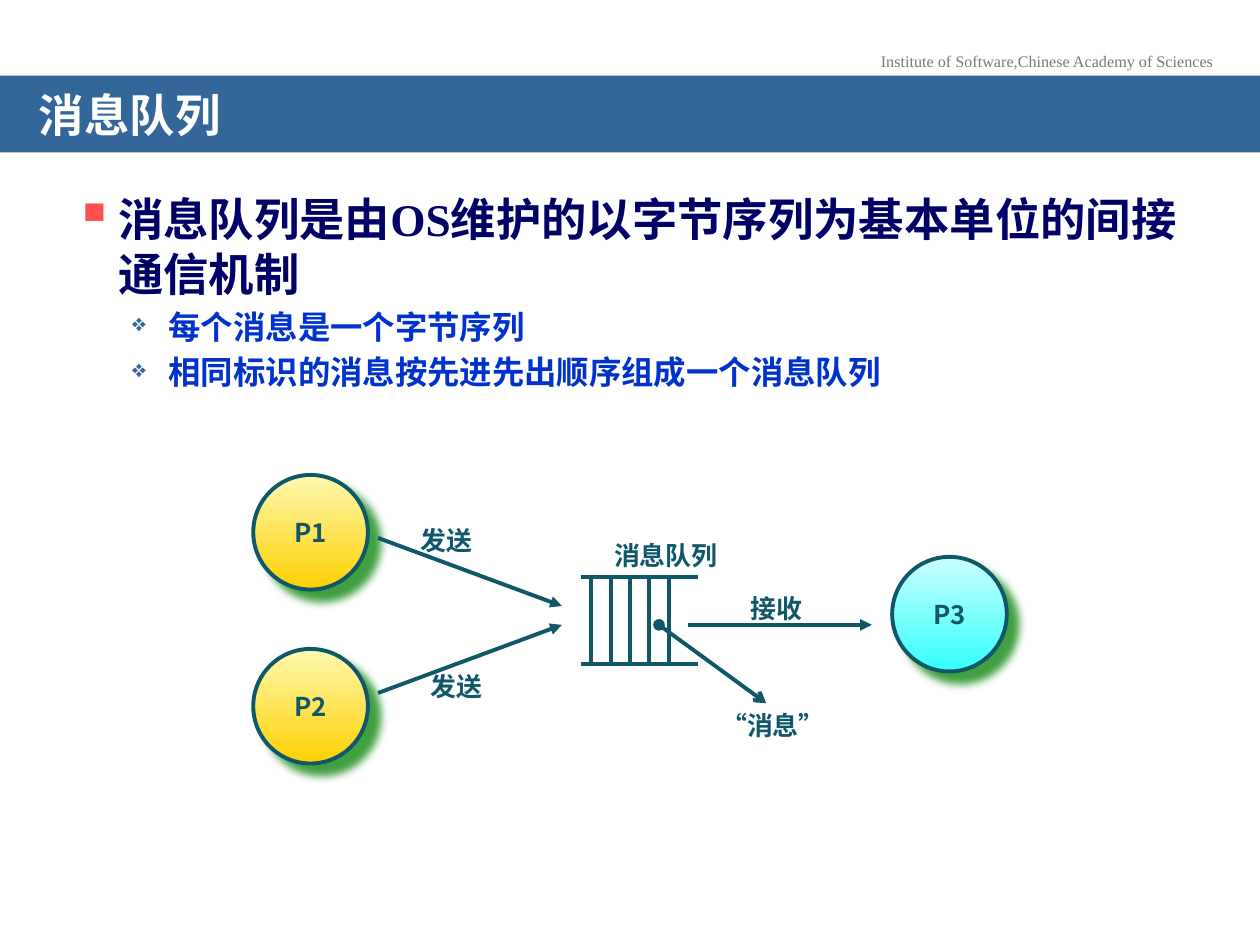
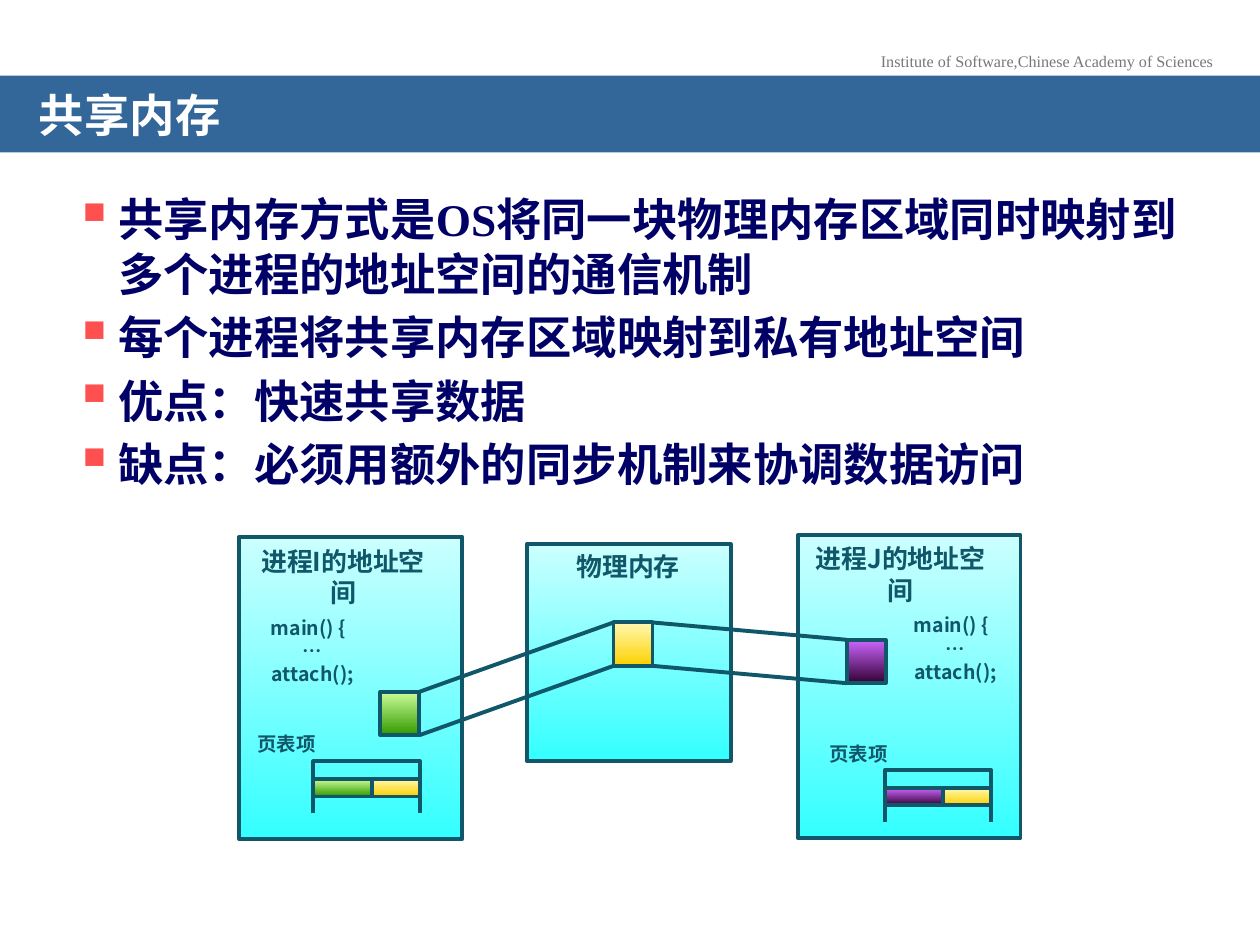
"""Builds two slides on inter-process communication: message queues and shared memory."""
import pptx
import pptx.dml.color
import pptx.enum.dml
import pptx.enum.shapes
import pptx.enum.text
import pptx.oxml
import pptx.oxml.ns
import pptx.util
from lxml import etree

Pt = pptx.util.Pt
qn = pptx.oxml.ns.qn
SHAPES = pptx.enum.shapes.MSO_SHAPE
ALIGN = pptx.enum.text.PP_ALIGN
MIDDLE = pptx.enum.text.MSO_ANCHOR.MIDDLE

SANS, SERIF = "Noto Sans CJK SC", "Times New Roman"
INK, BAND, WHITE, GREY = "11576A", "336699", "FFFFFF", "777777"
YELLOW, CYAN = ("FFF9B1", "FDD000"), ("CCFFFF", "33FFFF")
GREEN, PURPLE = ("CCFF99", "339900"), ("CC66FF", "330033")
LINE_WIDTH, LINE_PITCH = 2.25, 1.2
HEADER = "Institute of Software,Chinese Academy of Sciences"
BAND_MARGINS = {"margin_left": 22.3, "margin_right": 22.3, "margin_top": 11.5, "margin_bottom": 3.6}

LEVELS = [
    {"size": 25.9, "color": "000066", "left": 25.2, "hang": 25.2,
     "bullet": "▪", "bullet_color": "FF5050", "bullet_size": 120},
    {"size": 18.5, "color": "0033CC", "left": 54, "hang": 20.9,
     "bullet": "❖", "bullet_color": BAND, "bullet_size": 75},
]

QUEUE_TITLE = "消息队列"
QUEUE_POINTS = [
    (0, "消息队列是由OS维护的以字节序列为基本单位的间接通信机制"),
    (1, "每个消息是一个字节序列"),
    (1, "相同标识的消息按先进先出顺序组成一个消息队列"),
]
PROCESS_SIZE = 65.5
PROCESSES = [("P1", 144.7, 271.4, YELLOW), ("P2", 144.7, 370.8, YELLOW), ("P3", 509.8, 318.2, CYAN)]
QUEUE = {"left": 337.8, "top": 329.8, "bottom": 379.4, "step": 11.1, "bars": 5, "rail": 22, "overhang": 5.5}
ARROWS = [
    ((376.6, 357.1), (437.8, 401.8), "oval", "arrow"),
    ((216, 307.4), (321.1, 346.3), None, "triangle"),
    ((216, 396), (321.1, 357.1), None, "triangle"),
    ((393.1, 357.1), (498.2, 357.1), None, "triangle"),
]
QUEUE_LABELS = [
    ("“消息”", 404.6, 401.8, 74.2),
    ("消息队列", 343.4, 304.6, 74.2),
    ("发送", 232.6, 295.9, 44.6),
    ("发送", 238.3, 379.4, 44.6),
    ("接收", 421.2, 334.8, 44.6),
]

MEMORY_TITLE = "共享内存"
MEMORY_POINTS = [
    (0, "共享内存方式是OS将同一块物理内存区域同时映射到多个进程的地址空间的通信机制"),
    (0, "每个进程将共享内存区域映射到私有地址空间"),
    (0, "优点：快速共享数据"),
    (0, "缺点：必须用额外的同步机制来协调数据访问"),
]
CODE = ["main() {", "  …", "  attach();"]
PHYSICAL = (301, 311, 116.6, 123.8)
BLOCK_WIDTH, BLOCK_HEIGHT = 22.3, 24.8
SHARED_BLOCK = (350.6, 355.7)
SPACE_SIZE = (127.4, 172.8)
SPACES = [
    {"name": "进程I的地址空间", "space": (136.8, 306.7), "name_at": (135, 308.2), "block": (217.4, 395.3),
     "code_at": (142, 348.5), "table": (179.1, 435), "table_label": (139.7, 414.7), "colors": GREEN},
    {"name": "进程J的地址空间", "space": (455.8, 306), "name_at": (453.6, 306.7), "block": (483.8, 365.6),
     "code_at": (509.4, 347), "table": (505.6, 440.1), "table_label": (466.6, 420.5), "colors": PURPLE},
]
TABLE = {"width": 60.8, "height": 29.8, "entry_top": 10.1, "entry_height": 10.1, "split": 33.4}


def rgb(value):
    return pptx.dml.color.RGBColor.from_string(value)


def set_all(target, values):
    for name, value in values.items():
        setattr(target, name, value)


def add_xml(parent, tag, **attributes):
    return etree.SubElement(parent, qn(tag), attributes)


def add_span(para, text, size, color, latin=SANS, bold=True):
    span = para.add_run()
    span.text = text
    set_all(span.font, {"name": latin, "size": Pt(size), "bold": bold})
    span.font.color.rgb = rgb(color)
    add_xml(span._r.get_or_add_rPr(), "a:ea", typeface=SANS)


def write(shape, lines, size, color=INK, pitch=None, align=ALIGN.CENTER, wrap=False, **font):
    frame = shape.text_frame
    frame.word_wrap = wrap
    for index, line in enumerate(lines):
        para = frame.paragraphs[0] if index == 0 else frame.add_paragraph()
        set_all(para, {"alignment": align, "line_spacing": pitch or Pt(round(size * LINE_PITCH, 1))})
        add_span(para, line, size, color, **font)


def add_text(page, left, top, width, height, lines, size, **style):
    box = page.shapes.add_textbox(Pt(left), Pt(top), Pt(width), Pt(height))
    write(box, lines, size, **style)


def outline(shape):
    shape.line.color.rgb = rgb(INK)
    shape.line.width = Pt(LINE_WIDTH)


def add_filled(page, kind, left, top, width, height, colors):
    shape = page.shapes.add_shape(kind, Pt(left), Pt(top), Pt(width), Pt(height))
    shape.shadow.inherit = False
    shape.fill.gradient()
    shape.fill.gradient_angle = 270
    for stop, color in zip(shape.fill.gradient_stops, colors):
        stop.color.rgb = rgb(color)
    outline(shape)
    return shape


def add_line(page, start, end, head=None, tail=None):
    line = page.shapes.add_connector(
        pptx.enum.shapes.MSO_CONNECTOR.STRAIGHT, *(Pt(value) for value in (*start, *end)))
    outline(line)
    for tag, kind in (("a:headEnd", head), ("a:tailEnd", tail)):
        if kind:
            add_xml(line.line._get_or_add_ln(), tag, type=kind)
    add_xml(line._element.spPr, "a:effectLst")


def add_points(page, points):
    frame = page.shapes.add_textbox(Pt(35.3), Pt(105.8), Pt(648.7), Pt(385.2)).text_frame
    frame.word_wrap = True
    for index, (depth, text) in enumerate(points):
        level = LEVELS[depth]
        size = level["size"]
        para = frame.paragraphs[0] if index == 0 else frame.add_paragraph()
        properties = para._p.get_or_add_pPr()
        properties.set("marL", str(Pt(level["left"])))
        properties.set("indent", str(-Pt(level["hang"])))
        add_xml(add_xml(properties, "a:buClr"), "a:srgbClr", val=level["bullet_color"])
        add_xml(properties, "a:buSzPct", val=str(level["bullet_size"] * 1000))
        add_xml(properties, "a:buChar", char=level["bullet"])
        set_all(para, {"level": depth, "line_spacing": Pt(round(size * LINE_PITCH, 1)),
                       "space_before": Pt(round(size * 0.2, 1) if index else 0)})
        add_span(para, text, size, level["color"], latin=SERIF)


def add_page(deck, title, points):
    page = deck.slides.add_slide(deck.slide_layouts[6])
    add_text(page, 494.6, 25.9, 207.4, 18.7, [HEADER], 9.2, color=GREY, latin=SERIF, bold=False)
    add_points(page, points)
    band = page.shapes.add_shape(SHAPES.RECTANGLE, 0, Pt(43.2), deck.slide_width, Pt(43.9))
    band.shadow.inherit = False
    band.fill.solid()
    band.fill.fore_color.rgb = rgb(BAND)
    band.line.fill.background()
    set_all(band.text_frame, {name: Pt(value) for name, value in BAND_MARGINS.items()})
    band.text_frame.vertical_anchor = MIDDLE
    write(band, [title], 25.9, color=WHITE, pitch=0.7, align=ALIGN.LEFT, wrap=True)
    return page


def add_process(page, name, left, top, colors):
    circle = add_filled(page, SHAPES.OVAL, left, top, PROCESS_SIZE, PROCESS_SIZE, colors)
    effects = circle._element.spPr.find(qn("a:effectLst"))
    shadow = add_xml(effects, "a:outerShdw", blurRad=str(Pt(5)), dist=str(Pt(8.5)),
                     dir=str(45 * 60000), algn="ctr", rotWithShape="0")
    add_xml(add_xml(shadow, "a:srgbClr", val="008000"), "a:alpha", val="75000")
    circle.text_frame.vertical_anchor = MIDDLE
    write(circle, [name], 14.8)


def add_queue(page):
    top, bottom = QUEUE["top"], QUEUE["bottom"]
    for index in range(QUEUE["bars"]):
        bar = QUEUE["left"] + index * QUEUE["step"]
        add_line(page, (bar, top), (bar, bottom))
        rail = bar - QUEUE["overhang"]
        for height in (top, bottom):
            add_line(page, (rail, height), (rail + QUEUE["rail"], height))


def add_block(page, left, top, colors):
    add_filled(page, SHAPES.RECTANGLE, left, top, BLOCK_WIDTH, BLOCK_HEIGHT, colors)


def add_page_table(page, left, top, colors):
    right, bottom = left + TABLE["width"], top + TABLE["height"]
    builder = page.shapes.build_freeform(Pt(left), Pt(bottom))
    corners = [(left, top), (right, top), (right, bottom)]
    builder.add_line_segments([(Pt(x), Pt(y)) for x, y in corners], close=False)
    frame = builder.convert_to_shape()
    frame.shadow.inherit = False
    frame.fill.background()
    outline(frame)
    split = left + TABLE["split"]
    for start, end, entry_colors in ((left, split, colors), (split, right, YELLOW)):
        add_filled(page, SHAPES.RECTANGLE, start, top + TABLE["entry_top"], end - start,
                   TABLE["entry_height"], entry_colors)


def add_mapping(page, block):
    near, far = sorted([block, SHARED_BLOCK])
    for drop in (0, BLOCK_HEIGHT):
        add_line(page, (near[0] + BLOCK_WIDTH, near[1] + drop), (far[0], far[1] + drop))


def build_queue_page(deck):
    page = add_page(deck, QUEUE_TITLE, QUEUE_POINTS)
    for process in PROCESSES:
        add_process(page, *process)
    add_queue(page)
    for arrow in ARROWS:
        add_line(page, *arrow)
    for text, left, top, width in QUEUE_LABELS:
        add_text(page, left, top, width, 25.2, [text], 14.8)


def build_memory_page(deck):
    page = add_page(deck, MEMORY_TITLE, MEMORY_POINTS)
    add_filled(page, SHAPES.RECTANGLE, *PHYSICAL, CYAN)
    for space in SPACES:
        add_filled(page, SHAPES.RECTANGLE, *space["space"], *SPACE_SIZE, CYAN)
    add_block(page, *SHARED_BLOCK, YELLOW)
    for space in SPACES:
        add_block(page, *space["block"], space["colors"])
        add_mapping(page, space["block"])
        add_text(page, *space["code_at"], 68.4, 47.5, CODE, 11.1)
        add_page_table(page, *space["table"], space["colors"])
        add_text(page, *space["table_label"], 48.2, 20.9, ["页表项"], 11.1)
        add_text(page, *space["name_at"], 122, 43, [space["name"]], 14.8, wrap=True)
    add_text(page, 321.8, 311, 74.2, 25.2, ["物理内存"], 14.8)


def main():
    deck = pptx.Presentation()
    deck.slide_width, deck.slide_height = Pt(720), Pt(540)
    build_queue_page(deck)
    build_memory_page(deck)
    deck.save("out.pptx")


if __name__ == "__main__":
    main()
